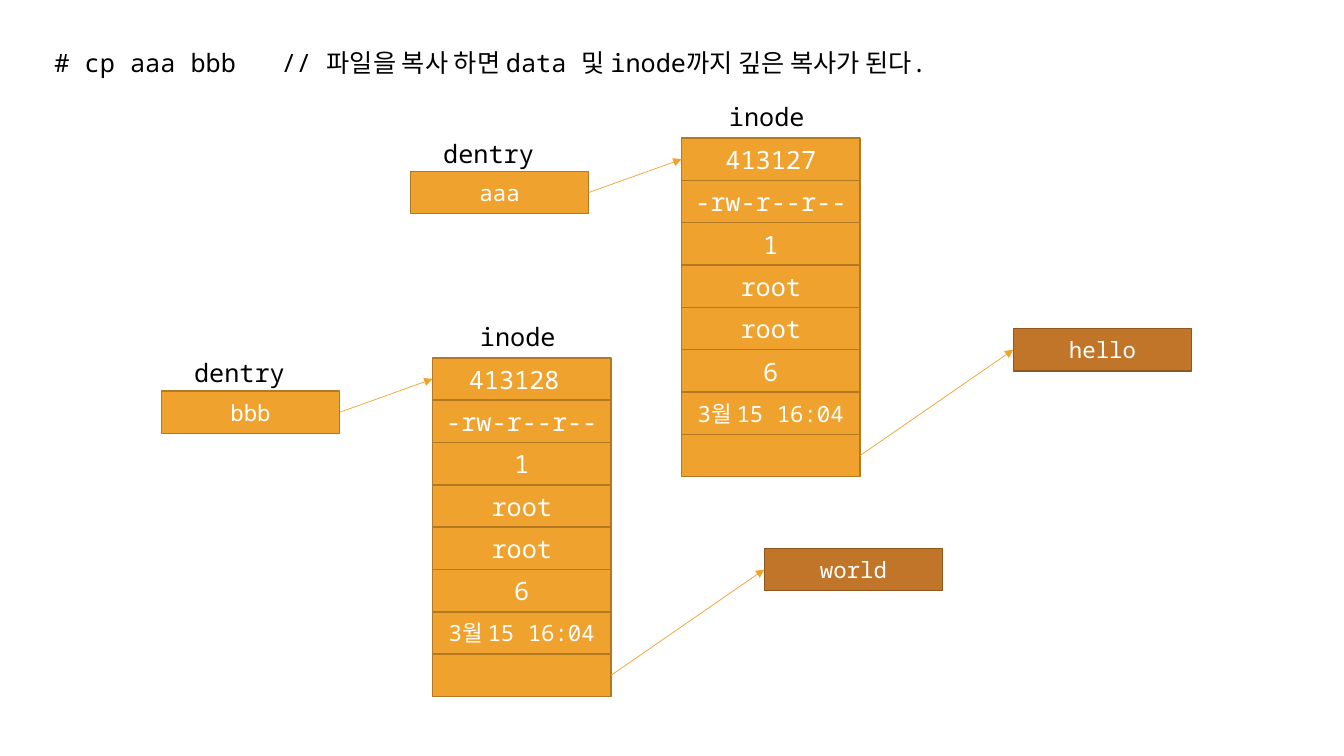
import pptx
import pptx.util
import pptx.dml.color
import pptx.enum.shapes
import pptx.enum.text
import pptx.oxml

Inches = pptx.util.Inches
Pt = pptx.util.Pt
Color = pptx.dml.color.RGBColor.from_string
Align = pptx.enum.text.PP_ALIGN
Anchor = pptx.enum.text.MSO_ANCHOR
Fit = pptx.enum.text.MSO_AUTO_SIZE

theme = {
    "font": "Noto Sans Mono",
    "ink": "000000",
    "white": "FFFFFF",
    "gold": ("F0A22E", "B27822"),
    "rust": ("C17529", "8F571E"),
    "large": 18,
    "small": 16,
}


def write(shape, text, size, color, align, anchor, fit, wrap):
    frame = shape.text_frame
    frame.auto_size = fit
    frame.word_wrap = wrap
    frame.vertical_anchor = anchor
    line = frame.paragraphs[0]
    line.alignment = align
    run = line.add_run()
    run.text = text
    run.font.name = theme["font"]
    run.font.size = Pt(theme[size])
    run.font.color.rgb = Color(theme[color])


def block(x, y, text, size, paint):
    shape = slide.shapes.add_shape(
        pptx.enum.shapes.MSO_SHAPE.RECTANGLE,
        Inches(x), Inches(y), Inches(1.77), Inches(0.42))
    shape.shadow.inherit = False
    fill, edge = theme[paint]
    shape.fill.solid()
    shape.fill.fore_color.rgb = Color(fill)
    shape.line.color.rgb = Color(edge)
    shape.line.width = Pt(1)
    if text:
        write(shape, text, size, "white", Align.CENTER, Anchor.MIDDLE, Fit.NONE, False)
    return shape


deck = pptx.Presentation()
deck.slide_width = Inches(13.33)
deck.slide_height = Inches(7.5)
slide = deck.slides.add_slide(deck.slide_layouts[5])

title = slide.shapes.title
title.left, title.top = Inches(0.44), Inches(0.42)
title.width, title.height = Inches(11.9), Inches(0.4)
write(title, "# cp aaa bbb   // 파일을 복사 하면 data 및 inode까지 깊은 복사가 된다.",
      "large", "ink", Align.LEFT, Anchor.TOP, Fit.SHAPE_TO_FIT_TEXT, True)

files = [
    (6.76, 1.37, "aaa", "413127", "hello"),
    (4.29, 3.55, "bbb", "413128 ", "world"),
]
meta = ["-rw-r--r--", "1", "root", "root", "6", "3월 15 16:04", ""]

for x, y, name, number, data in files:
    rows = []
    for i, text in enumerate([number] + meta):
        size = "small" if "월" in text else "large"
        rows.append(block(x, y + 0.42 * i, text, size, "gold"))
    entry = block(x - 2.69, y + 0.33, name, "small", "gold")
    store = block(x + 3.29, y + 1.89, data, "small", "rust")

    for text, left, top in [("dentry", x - 2.69, y - 0.05), ("inode", x + 0.07, y - 0.41)]:
        label = slide.shapes.add_textbox(Inches(left), Inches(top), Inches(1.55), Inches(0.4))
        write(label, text, "large", "ink", Align.CENTER, Anchor.TOP, Fit.SHAPE_TO_FIT_TEXT, True)

    for start, end in [(entry, rows[0]), (rows[-1], store)]:
        arrow = slide.shapes.add_connector(
            pptx.enum.shapes.MSO_CONNECTOR.STRAIGHT, 0, 0, 0, 0)
        arrow.begin_connect(start, 3)
        arrow.end_connect(end, 1)
        arrow.line.color.rgb = Color(theme["gold"][0])
        arrow.line.width = Pt(0.5)
        tail = pptx.oxml.parse_xml(
            '<a:tailEnd xmlns:a="http://schemas.openxmlformats.org/drawingml/2006/main" type="triangle"/>')
        arrow.line._get_or_add_ln().append(tail)
        flat = pptx.oxml.parse_xml(
            '<a:effectLst xmlns:a="http://schemas.openxmlformats.org/drawingml/2006/main"/>')
        arrow._element.spPr.append(flat)

deck.save("out.pptx")
